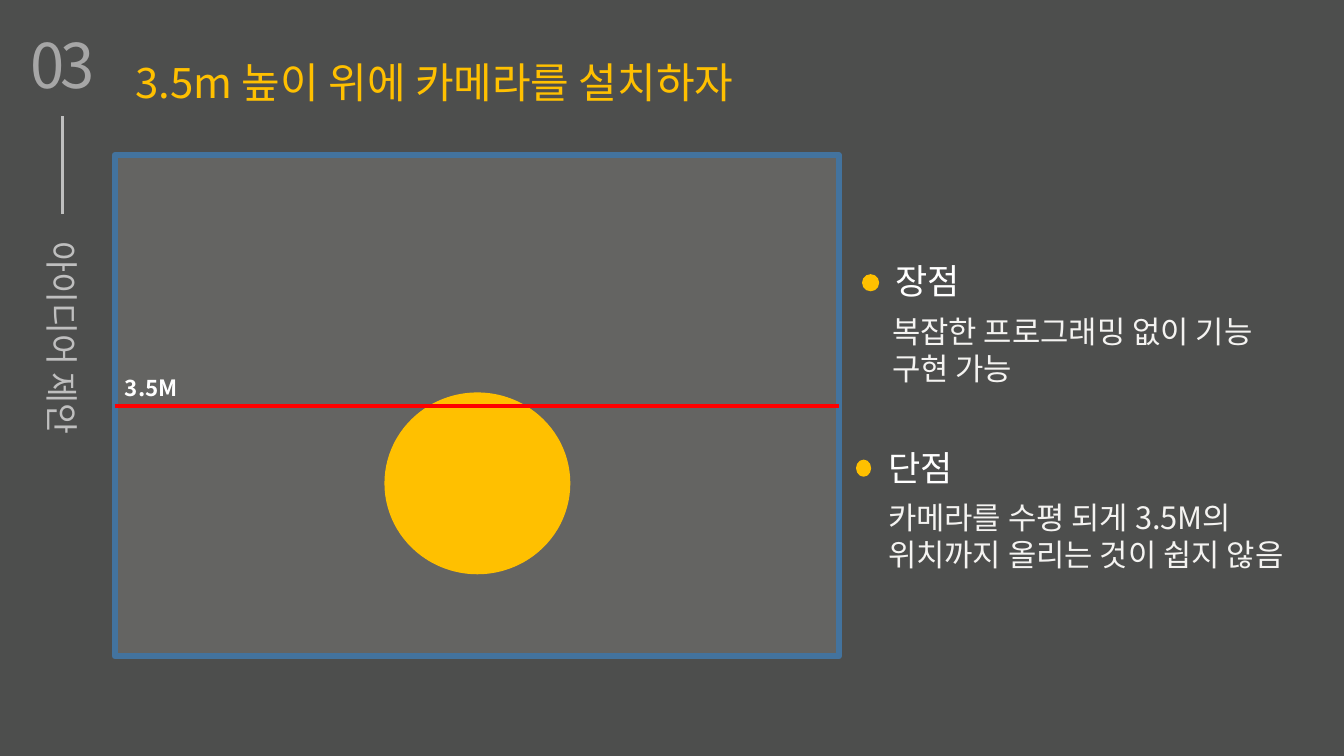
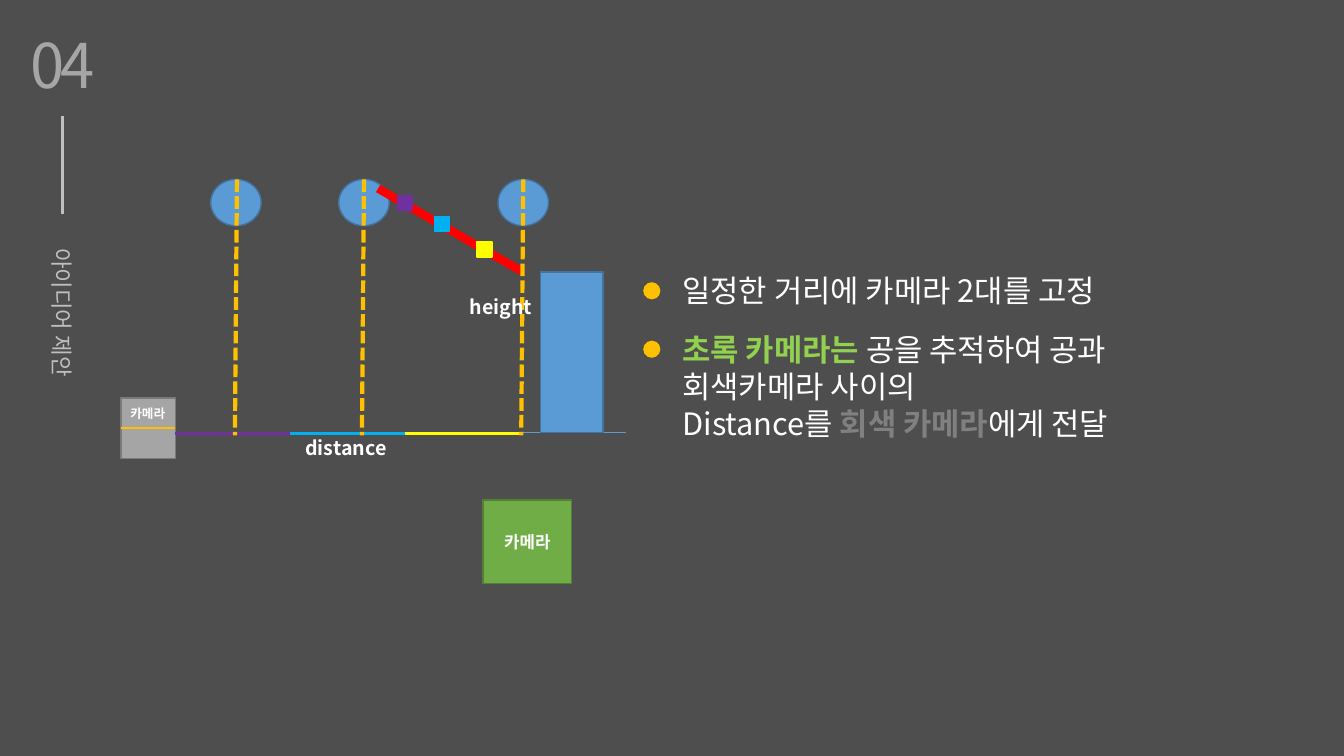
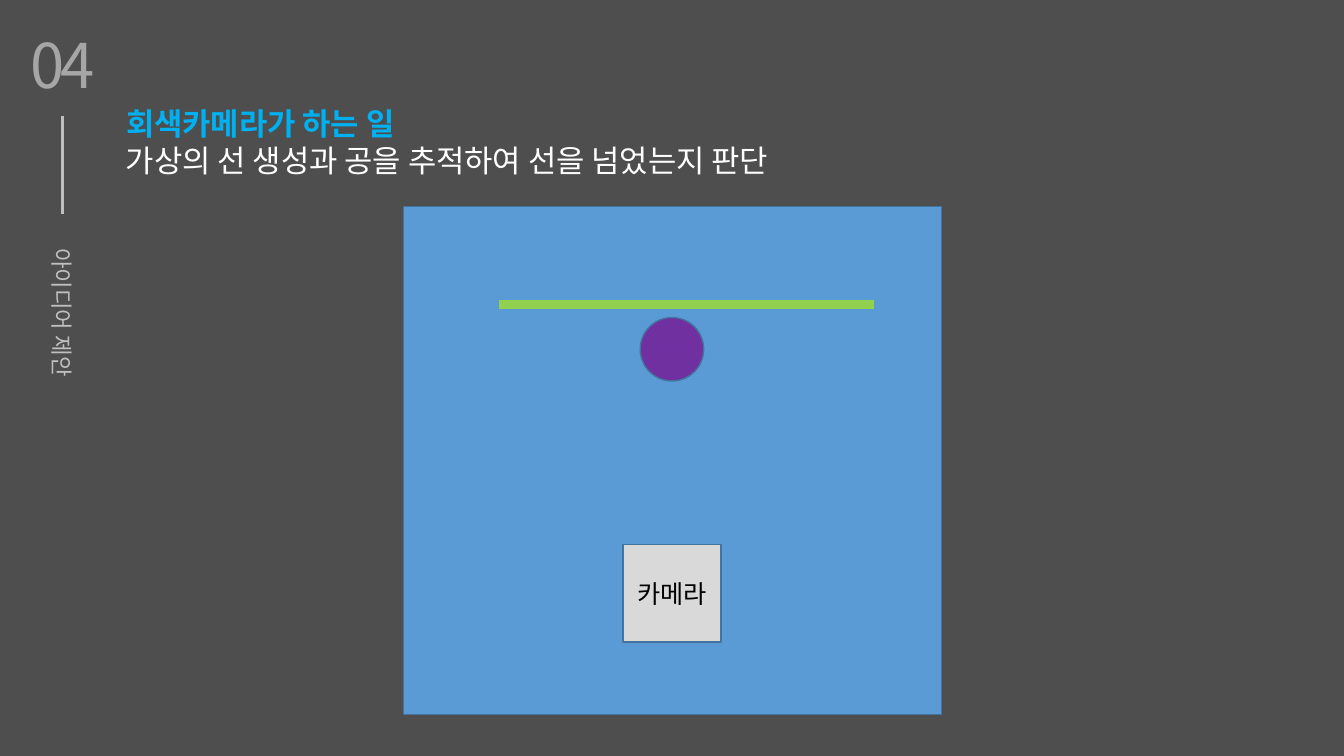
from lxml.etree import SubElement
from pptx import Presentation
from pptx.dml.color import RGBColor
from pptx.enum.dml import MSO_LINE
from pptx.enum.shapes import MSO_CONNECTOR, MSO_SHAPE
from pptx.enum.text import MSO_ANCHOR, MSO_AUTO_SIZE, PP_ALIGN
from pptx.oxml.ns import qn
from pptx.util import Inches, Pt

FONT = "Noto Sans CJK KR"
COLORS = {name: RGBColor.from_string(value) for name, value in {
    "background": "4D4E4D", "number": "A6A6A6", "side": "BFBFBF",
    "gold": "FFC000", "white": "FFFFFF", "body": "F4F3F1",
    "panel": "646462", "blue": "5B9BD5", "blue edge": "43739E",
    "red": "FF0000", "gray": "A5A5A5", "gray edge": "7A7A7A",
    "green": "70AD47", "green edge": "538035", "lime": "92D050",
    "dark gray": "808080", "purple": "7030A0", "sky": "00B0F0",
    "yellow": "FFFF00", "light gray": "D9D9D9", "black": "000000",
}.items()}


def draw_shape(slide, kind, box, fill, edge=None, width=1):
    shape = slide.shapes.add_shape(kind, *map(Inches, box))
    shape.shadow.inherit = False
    shape.fill.solid()
    shape.fill.fore_color.rgb = COLORS[fill]
    if edge:
        shape.line.color.rgb = COLORS[edge]
        shape.line.width = Pt(width)
    else:
        shape.line.fill.background()
    return shape


def draw_line(slide, points, color, width, dash=None):
    line = slide.shapes.add_connector(MSO_CONNECTOR.STRAIGHT, *map(Inches, points))
    line.line.color.rgb = COLORS[color]
    line.line.width = Pt(width)
    if dash:
        line.line.dash_style = dash
    SubElement(line._element.spPr, qn("a:effectLst"))


# Slides and shared look
presentation = Presentation()
presentation.slide_width = Inches(13.33)
presentation.slide_height = Inches(7.5)
background = presentation.slide_master.background.fill
background.solid()
background.fore_color.rgb = COLORS["background"]
title_only, blank = presentation.slide_layouts[5], presentation.slide_layouts[6]
height_slide, distance_slide, judge_slide = [
    presentation.slides.add_slide(layout) for layout in (title_only, blank, title_only)]

# Text is (holder, size, color, bold, alignment, lines); a holder is a box or a shape
LEFT, CENTER = PP_ALIGN.LEFT, PP_ALIGN.CENTER
texts = []

# Number, rule and sideways section name
for slide, number, side_size, side_box in (
        (height_slide, "03", 24, (-0.56, 3.23, 2.36, 0.5)),
        (distance_slide, "04", 16, (-0.56, 3.36, 2.36, 0.37)),
        (judge_slide, "04", 16, (-0.56, 3.36, 2.36, 0.37))):
    draw_line(slide, (0.62, 1.15, 0.62, 2.12), "side", 2.25)
    number_box = slide.shapes.add_textbox(*map(Inches, (0, 0.22, 1.24, 0.84)))
    side_label = slide.shapes.add_textbox(*map(Inches, side_box))
    side_label.rotation = 90
    texts += [(number_box, 44, "number", False, CENTER, [number]),
              (side_label, side_size, "side", False, LEFT, ["아이디어 제안"])]

# Titles
for slide, box, size, color, bold, title in (
        (height_slide, (1.24, 0.51, 7.3, 0.61), 30, "gold", False,
         "3.5m 높이 위에 카메라를 설치하자"),
        (judge_slide, (1.15, 0.99, 7.39, 0.47), 22, "sky", True,
         "회색카메라가 하는 일")):
    holder = slide.shapes.title
    holder.left, holder.top, holder.width, holder.height = map(Inches, box)
    texts.append((holder, size, color, bold, LEFT, [title]))

# Slide 1: camera view with the height line
draw_shape(height_slide, MSO_SHAPE.RECTANGLE, (1.14, 1.54, 7.18, 4.97),
           "panel", "blue edge", 4.5)
draw_shape(height_slide, MSO_SHAPE.OVAL, (3.82, 3.9, 1.83, 1.79), "gold", "gold")
draw_line(height_slide, (1.14, 4.03, 8.32, 4.03), "red", 3)

# Slide 2: balls with their drop lines, and the wall
for left in (2.09, 3.36, 4.94):
    draw_shape(distance_slide, MSO_SHAPE.OVAL, (left, 1.78, 0.5, 0.46),
               "blue", "blue edge")
draw_line(distance_slide, (5.17, 2.69, 3.75, 1.87), "red", 6)
draw_line(distance_slide, (1.66, 4.29, 6.21, 4.29), "blue", 0.5)
draw_shape(distance_slide, MSO_SHAPE.RECTANGLE, (5.36, 2.7, 0.62, 1.59),
           "blue", "blue edge")

# Slide 2: cameras
draw_shape(distance_slide, MSO_SHAPE.RECTANGLE, (1.2, 3.95, 0.54, 0.6),
           "gray", "gray edge")
draw_line(distance_slide, (1.2, 4.25, 1.74, 4.25), "gold", 1.5)
green_camera = draw_shape(distance_slide, MSO_SHAPE.RECTANGLE,
                          (4.79, 4.96, 0.88, 0.83), "green", "green edge")

# Slide 2: marks on the flight line and matching ground segments
SEGMENT = 1.14
for index, (color, left, top) in enumerate((
        ("purple", 3.94, 1.94), ("sky", 4.31, 2.15), ("yellow", 4.73, 2.4))):
    draw_shape(distance_slide, MSO_SHAPE.RECTANGLE, (left, top, 0.15, 0.15), color, color)
    start = 1.74 + index * SEGMENT
    draw_line(distance_slide, (start, 4.3, start + SEGMENT, 4.3), color, 2.25)
for top_x in (2.35, 3.61, 5.19):
    draw_line(distance_slide, (top_x, 1.78, top_x - 0.02, 4.32), "gold", 3,
              MSO_LINE.SQUARE_DOT)

# Slide 3: court seen from above
draw_shape(judge_slide, MSO_SHAPE.RECTANGLE, (4, 2.05, 5.34, 5.04), "blue", "blue edge")
draw_shape(judge_slide, MSO_SHAPE.OVAL, (6.35, 3.15, 0.63, 0.63), "purple", "blue edge")
draw_line(judge_slide, (4.95, 3.02, 8.67, 3.02), "lime", 6)
gray_camera = draw_shape(judge_slide, MSO_SHAPE.RECTANGLE, (6.18, 5.4, 0.97, 0.97),
                         "light gray", "blue edge")

# Round bullets
for slide, left, top, width in (
        (height_slide, 8.55, 2.72, 0.17), (height_slide, 8.49, 4.56, 0.15),
        (distance_slide, 6.38, 2.8, 0.17), (distance_slide, 6.38, 3.38, 0.17)):
    draw_shape(slide, MSO_SHAPE.OVAL, (left, top, width, 0.17), "gold")

# Text boxes and shape labels; a colored run within a line is also bold
for slide, box, *style in (
        (height_slide, (8.78, 2.53, 1.55, 0.52), 25, "white", False, LEFT, ["장점"]),
        (height_slide, (8.71, 4.38, 1.2, 0.52), 25, "white", False, LEFT, ["단점"]),
        (height_slide, (8.75, 3.05, 4.31, 0.84), 22, "body", False, LEFT,
         ["복잡한 프로그래밍 없이 기능 구현 가능"]),
        (height_slide, (8.71, 4.9, 4.68, 0.84), 22, "body", False, LEFT,
         ["카메라를 수평 되게 3.5M의", "위치까지 올리는 것이 쉽지 않음"]),
        (height_slide, (1.14, 3.66, 1.01, 0.37), 16, "white", True, LEFT, ["3.5M"]),
        (distance_slide, (4.56, 2.88, 0.97, 0.34), 14, "white", True, LEFT, ["height"]),
        (distance_slide, (2.93, 4.28, 1.19, 0.34), 14, "white", True, LEFT, ["distance"]),
        (distance_slide, (1.11, 3.98, 0.71, 0.25), 9, "white", True, CENTER, ["카메라"]),
        (distance_slide, (6.67, 2.65, 5.5, 0.47), 22, "white", False, LEFT,
         ["일정한 거리에 카메라 2대를 고정"]),
        (distance_slide, (6.67, 3.23, 5.98, 1.21), 22, "white", False, LEFT,
         [[("초록 카메라는 ", "lime"), ("공을 추적하여 공과", None)],
          "회색카메라 사이의",
          [("Distance를 ", None), ("회색 카메라", "dark gray"), ("에게 전달", None)]]),
        (judge_slide, (1.15, 1.36, 7.39, 0.47), 22, "white", False, LEFT,
         ["가상의 선 생성과 공을 추적하여 선을 넘었는지 판단"])):
    texts.append((slide.shapes.add_textbox(*map(Inches, box)), *style))
texts += [(green_camera, 12, "white", True, CENTER, ["카메라"]),
          (gray_camera, 18, "black", False, CENTER, ["카메라"])]

# Write all text
for holder, size, color, bold, alignment, lines in texts:
    frame = holder.text_frame
    frame.word_wrap = True
    frame.auto_size = MSO_AUTO_SIZE.NONE
    labelled = holder in (green_camera, gray_camera)
    frame.vertical_anchor = MSO_ANCHOR.MIDDLE if labelled else MSO_ANCHOR.TOP
    for index, line in enumerate(lines):
        paragraph = frame.add_paragraph() if index else frame.paragraphs[0]
        paragraph.alignment = alignment
        font = paragraph.font
        font.size, font.bold, font.name = Pt(size), bold, FONT
        font.color.rgb = COLORS[color]
        defaults = paragraph._p.pPr.find(qn("a:defRPr"))
        SubElement(defaults, qn("a:ea")).set("typeface", FONT)
        if size == 44:
            defaults.set("spc", "-300")
        for text, accent in [(line, None)] if isinstance(line, str) else line:
            run = paragraph.add_run()
            run.text = text
            if accent:
                run.font.color.rgb = COLORS[accent]
                run.font.bold = True

presentation.save("out.pptx")
